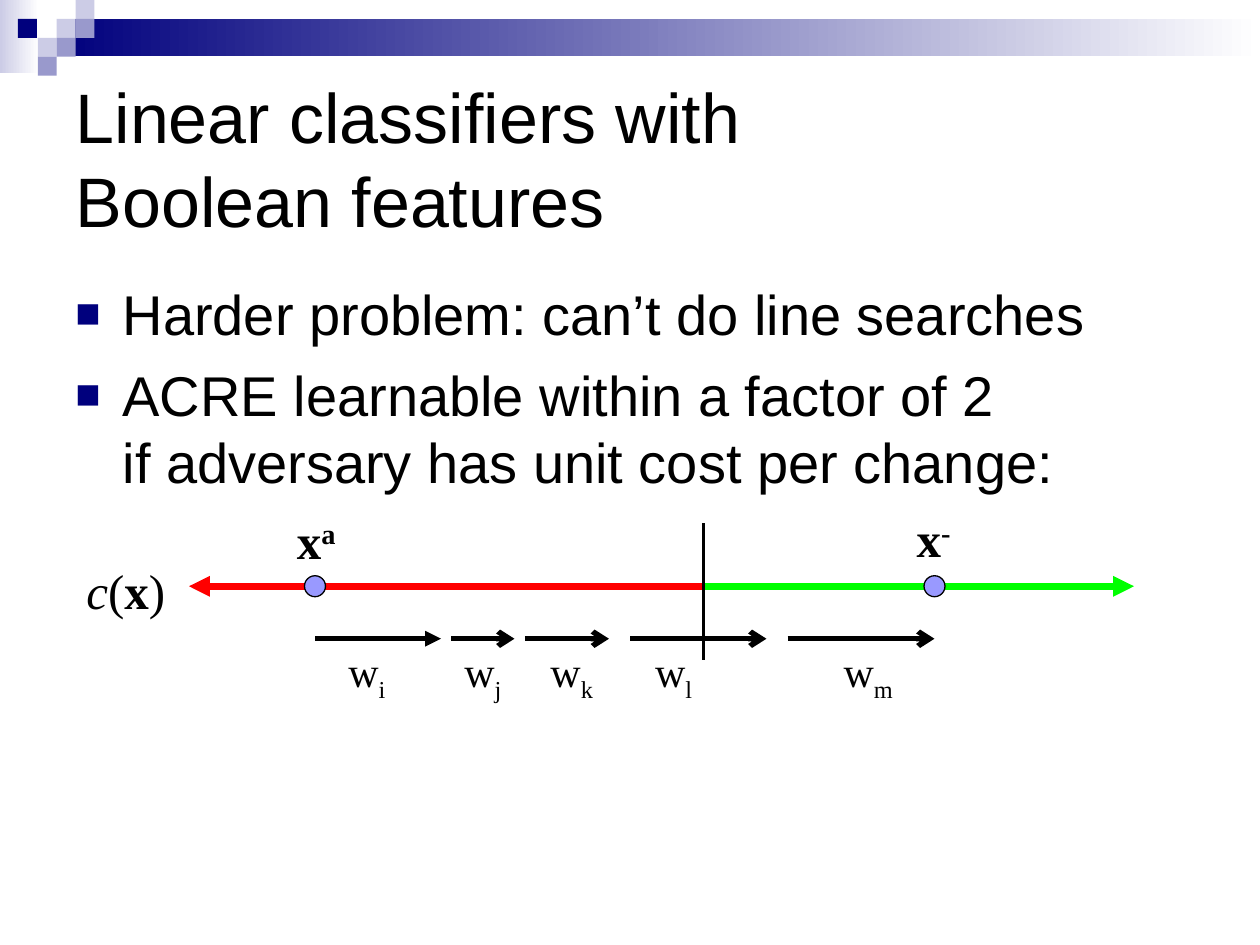
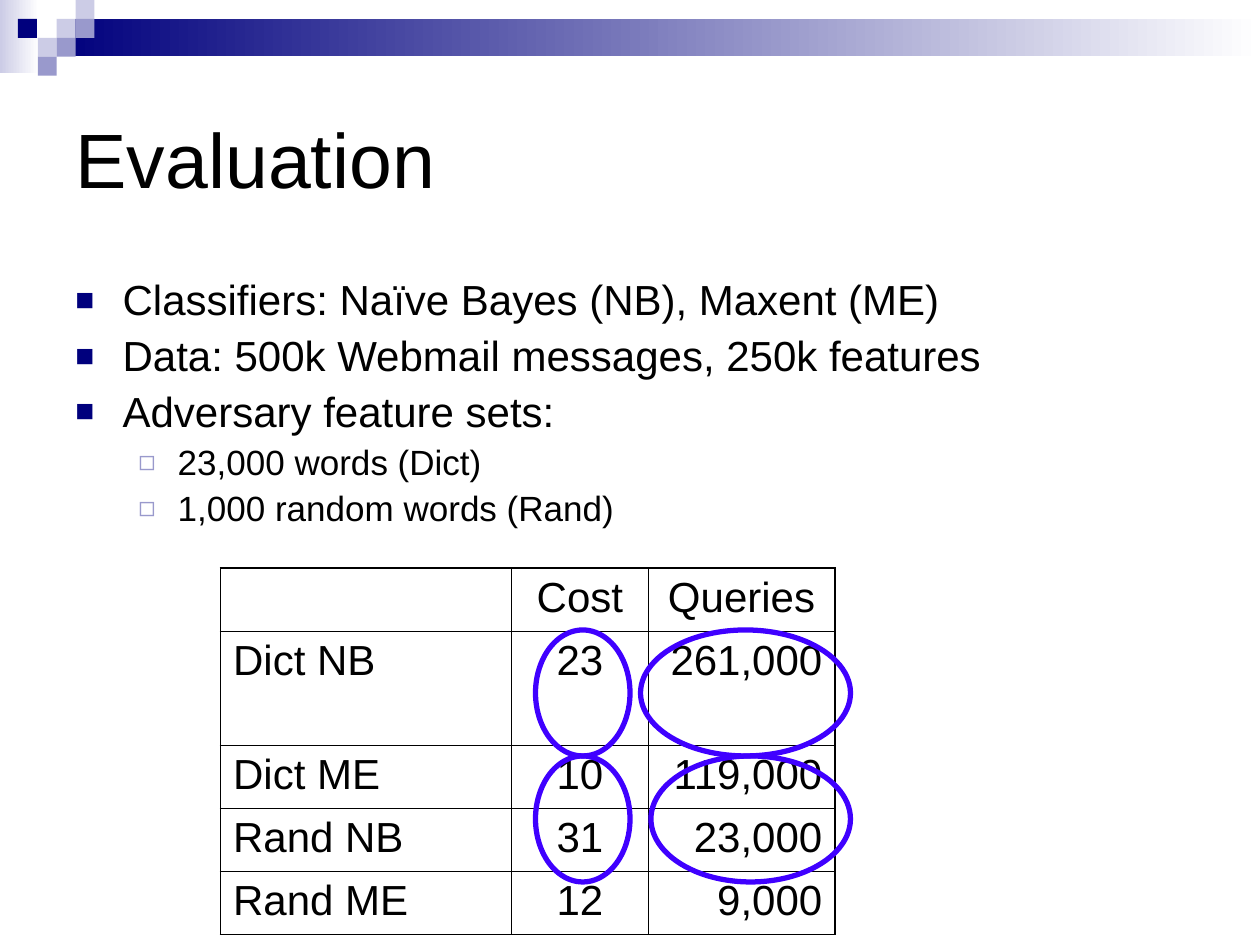
"""Builds two slides on learning linear classifiers: Boolean features and evaluation."""
from dataclasses import dataclass
from typing import NamedTuple

from lxml.etree import SubElement
from pptx import Presentation
from pptx.dml.color import RGBColor
from pptx.enum.shapes import MSO_CONNECTOR, MSO_SHAPE
from pptx.enum.text import MSO_ANCHOR, MSO_AUTO_SIZE, PP_ALIGN
from pptx.oxml.ns import qn
from pptx.presentation import Presentation as Deck
from pptx.shapes.autoshape import Shape
from pptx.slide import Slide
from pptx.table import _Cell
from pptx.text.text import _Paragraph
from pptx.util import Pt

BLACK = RGBColor(0x00, 0x00, 0x00)
WHITE = RGBColor(0xFF, 0xFF, 0xFF)
NAVY = RGBColor(0x00, 0x00, 0x7D)
LAVENDER = RGBColor(0x99, 0x99, 0xCC)
PALE = RGBColor(0xCC, 0xCC, 0xE6)
PERIWINKLE = RGBColor(0x99, 0x99, 0xFF)
RED = RGBColor(0xFF, 0x00, 0x00)
GREEN = RGBColor(0x00, 0xFF, 0x00)
VIOLET = RGBColor(0x3F, 0x00, 0xFF)

SANS = "Arial"
SERIF = "Times New Roman"
TILE = 10.8
AXIS_Y = 335
WEIGHT_Y = 365
THIN, THICK = 0.45, 1.08


class Box(NamedTuple):
    left: float
    top: float
    width: float
    height: float


class Tile(NamedTuple):
    column: float
    row: int
    color: RGBColor


class Bullet(NamedTuple):
    text: str
    size: float
    before: float
    level: int = 0


class BulletStyle(NamedTuple):
    mark: str
    color: RGBColor
    scale: int
    margin: float
    hang: float


@dataclass(frozen=True)
class Part:
    text: str
    bold: bool = False
    italic: bool = False
    baseline: int = 0


class Instance(NamedTuple):
    mark: str
    center: float
    label: Box


class Weight(NamedTuple):
    index: str
    start: float
    end: float
    label_left: float
    label_width: float
    head: str = "arrow"


TILES = [
    Tile(3, 1, PALE), Tile(4, 0, PALE), Tile(4, 1, LAVENDER), Tile(2, 2, PALE),
    Tile(0.95, 1, NAVY), Tile(3, 2, LAVENDER), Tile(2, 3, LAVENDER),
]
BULLET_STYLES = [
    BulletStyle("■", NAVY, 75, 27, 27),
    BulletStyle("◻", LAVENDER, 80, 58.5, 22.5),
]
PROBLEM = [
    Bullet("Harder problem: can’t do line searches", 32, 8),
    Bullet("ACRE learnable within a factor of 2\nif adversary has unit cost per change:", 32, 8),
]
SETUP = [
    Bullet("Classifiers: Naïve Bayes (NB), Maxent (ME)", 24, 6),
    Bullet("Data: 500k Webmail messages, 250k features", 24, 6),
    Bullet("Adversary feature sets:", 24, 6),
    Bullet("23,000 words (Dict)", 20, 5, 1),
    Bullet("1,000 random words (Rand)", 20, 5, 1),
]
INSTANCES = [
    Instance("a", 180, Box(162.5, 288, 38, 41)),
    Instance("-", 534, Box(516.7, 287.3, 36, 41)),
]
WEIGHTS = [
    Weight("i", 180, 252, 192, 37.5, "triangle"),
    Weight("j", 258, 294, 258.3, 37.5),
    Weight("k", 300, 348, 307.5, 41),
    Weight("l", 360, 438, 367.2, 37.5),
    Weight("m", 450, 534, 475, 44.5),
]
RESULTS = [
    ("", "Cost", "Queries"),
    ("Dict NB", "23", "261,000"),
    ("Dict ME", "10", "119,000"),
    ("Rand NB", "31", "23,000"),
    ("Rand ME", "12", "9,000"),
]
COLUMN_WIDTHS = (166.4, 78, 106.7)
ROW_HEIGHTS = (36, 65.2, 36.1, 36.1, 36.1)
HIGHLIGHTS = [
    Box(306, 360, 54, 72), Box(306, 432, 54, 72),
    Box(366, 360, 120, 72), Box(372, 432, 114, 72),
]


def points(box: Box) -> list[Pt]:
    """Turn a box into lengths."""
    return [Pt(length) for length in box]


def add_plain_shape(slide: Slide, kind: MSO_SHAPE, box: Box) -> Shape:
    """Add a preset shape with no shadow, fill or outline."""
    shape = slide.shapes.add_shape(kind, *points(box))
    shape.shadow.inherit = False
    shape.fill.background()
    shape.line.fill.background()
    return shape


def add_fade(slide: Slide, box: Box, color: RGBColor) -> None:
    """Add a rectangle that fades from a colour to white."""
    fill = add_plain_shape(slide, MSO_SHAPE.RECTANGLE, box).fill
    fill.gradient()
    fill.gradient_angle = 0
    for stop, shade in zip(fill.gradient_stops, (color, WHITE)):
        stop.color.rgb = shade


def add_ring(slide: Slide, box: Box, color: RGBColor, weight: float) -> Shape:
    """Add an outlined ellipse."""
    ring = add_plain_shape(slide, MSO_SHAPE.OVAL, box)
    ring.line.color.rgb = color
    ring.line.width = Pt(weight)
    return ring


def add_line(slide: Slide, start: tuple[float, float], end: tuple[float, float],
             color: RGBColor, weight: float, head: str = "") -> None:
    """Add a straight line, with an arrowhead at its end if one is named."""
    line = slide.shapes.add_connector(
        MSO_CONNECTOR.STRAIGHT, *(Pt(place) for place in start + end))
    line.line.color.rgb = color
    line.line.width = Pt(weight)
    properties = line._element.spPr
    if head:
        SubElement(properties.find(qn("a:ln")), qn("a:tailEnd"), type=head)
    SubElement(properties, qn("a:effectLst"))


def add_run(paragraph: _Paragraph, part: Part, font: str, size: float) -> None:
    """Add one black run."""
    run = paragraph.add_run()
    run.text = part.text
    run.font.name = font
    run.font.size = Pt(size)
    run.font.bold = part.bold
    run.font.italic = part.italic
    run.font.color.rgb = BLACK
    if part.baseline:
        run._r.get_or_add_rPr().set("baseline", str(part.baseline * 1000))


def add_lines(paragraph: _Paragraph, text: str, size: float) -> None:
    """Add sans text, with a line break between its lines."""
    for number, line in enumerate(text.split("\n")):
        if number:
            paragraph.add_line_break()
        add_run(paragraph, Part(line), SANS, size)


def add_label(slide: Slide, box: Box, parts: list[Part], size: float) -> None:
    """Add a one-line serif formula."""
    frame = slide.shapes.add_textbox(*points(box)).text_frame
    frame.word_wrap = False
    frame.auto_size = MSO_AUTO_SIZE.SHAPE_TO_FIT_TEXT
    for part in parts:
        add_run(frame.paragraphs[0], part, SERIF, size)


def add_bullets(slide: Slide, box: Box, bullets: list[Bullet], spacing: float) -> None:
    """Add a bulleted list."""
    frame = slide.shapes.add_textbox(*points(box)).text_frame
    frame.word_wrap = True
    for number, bullet in enumerate(bullets):
        paragraph = frame.add_paragraph() if number else frame.paragraphs[0]
        paragraph.level = bullet.level
        paragraph.space_before = Pt(bullet.before)
        paragraph.line_spacing = spacing
        style = BULLET_STYLES[bullet.level]
        properties = paragraph._p.get_or_add_pPr()
        properties.set("marL", str(Pt(style.margin)))
        properties.set("indent", str(-Pt(style.hang)))
        tint = SubElement(properties, qn("a:buClr"))
        SubElement(tint, qn("a:srgbClr"), val=str(style.color))
        SubElement(properties, qn("a:buSzPct"), val=str(style.scale * 1000))
        SubElement(properties, qn("a:buFont"), typeface=SANS)
        SubElement(properties, qn("a:buChar"), char=style.mark)
        add_lines(paragraph, bullet.text, bullet.size)


def start_slide(deck: Deck, heading: str, size: float) -> Slide:
    """Add a slide with the shared band, tiles and title."""
    slide = deck.slides.add_slide(deck.slide_layouts[5])
    add_fade(slide, Box(0, 0, 22.3, 41.8), PALE)
    add_fade(slide, Box(3 * TILE, TILE, 720 - 3 * TILE, 21.2), NAVY)
    for tile in TILES:
        box = Box(tile.column * TILE, tile.row * TILE, TILE, TILE)
        fill = add_plain_shape(slide, MSO_SHAPE.RECTANGLE, box).fill
        fill.solid()
        fill.fore_color.rgb = tile.color
    title = slide.shapes.title
    title.left, title.top, title.width, title.height = points(Box(36, 36, 648, 108))
    title.text_frame.auto_size = MSO_AUTO_SIZE.NONE
    title.text_frame.vertical_anchor = MSO_ANCHOR.MIDDLE
    paragraph = title.text_frame.paragraphs[0]
    paragraph.alignment = PP_ALIGN.LEFT
    add_lines(paragraph, heading, size)
    return slide


def set_borders(cell: _Cell, widths: dict[str, float]) -> None:
    """Draw the black borders of a cell, ahead of its fill."""
    properties = cell._tc.get_or_add_tcPr()
    for place, (side, width) in enumerate(widths.items()):
        border = SubElement(properties, qn(f"a:ln{side}"), w=str(Pt(width)))
        ink = SubElement(border, qn("a:solidFill"))
        SubElement(ink, qn("a:srgbClr"), val=str(BLACK))
        properties.insert(place, border)


def add_results(slide: Slide) -> None:
    """Add the table of costs and queries."""
    box = Box(126, 324.6, sum(COLUMN_WIDTHS), sum(ROW_HEIGHTS))
    table = slide.shapes.add_table(len(RESULTS), len(COLUMN_WIDTHS), *points(box)).table
    table.first_row = table.horz_banding = False
    for column, width in zip(table.columns, COLUMN_WIDTHS):
        column.width = Pt(width)
    last_row, last_column = len(RESULTS) - 1, len(COLUMN_WIDTHS) - 1
    for y, (row, height) in enumerate(zip(RESULTS, ROW_HEIGHTS)):
        table.rows[y].height = Pt(height)
        for x, text in enumerate(row):
            cell = table.cell(y, x)
            cell.fill.background()
            edges = {"L": x == 0, "R": x == last_column, "T": y == 0, "B": y == last_row}
            set_borders(cell, {side: THICK if outer else THIN for side, outer in edges.items()})
            paragraph = cell.text_frame.paragraphs[0]
            paragraph.space_before = Pt(6)
            numbers = PP_ALIGN.RIGHT if y and x == last_column else PP_ALIGN.CENTER
            paragraph.alignment = numbers if x else PP_ALIGN.LEFT
            if text:
                add_run(paragraph, Part(text), SANS, 24)


def build_boolean_features(deck: Deck) -> None:
    """Build the slide on Boolean features."""
    slide = start_slide(deck, "Linear classifiers with\nBoolean features", 40)
    add_bullets(slide, Box(36, 156, 648, 306), PROBLEM, 1)
    boundary = 402
    for tip, color in ((648, GREEN), (108, RED)):
        add_line(slide, (boundary, AXIS_Y), (tip, AXIS_Y), color, 4, "triangle")
    add_line(slide, (boundary, 299), (boundary, 377), BLACK, 2)
    for instance in INSTANCES:
        dot = add_ring(slide, Box(instance.center - 6, AXIS_Y - 6, 12, 12), BLACK, 0.75)
        dot.fill.solid()
        dot.fill.fore_color.rgb = PERIWINKLE
        name = [Part("x", bold=True), Part(instance.mark, bold=True, baseline=30)]
        add_label(slide, instance.label, name, 28)
    for weight in WEIGHTS:
        add_line(slide, (weight.start, WEIGHT_Y), (weight.end, WEIGHT_Y), BLACK, 3, weight.head)
        box = Box(weight.label_left, WEIGHT_Y + 0.6, weight.label_width, 40.3)
        add_label(slide, box, [Part("w"), Part(weight.index, baseline=-25)], 24)
    classifier = [Part("c", italic=True), Part("("), Part("x", bold=True), Part(")")]
    add_label(slide, Box(42.3, 316.8, 61.5, 41), classifier, 28)


def build_evaluation(deck: Deck) -> None:
    """Build the slide on the evaluation."""
    slide = start_slide(deck, "Evaluation", 44)
    add_bullets(slide, Box(36, 156, 648, 160), SETUP, 0.9)
    add_results(slide)
    for box in HIGHLIGHTS:
        add_ring(slide, box, VIOLET, 3)


def main() -> None:
    """Build and save the deck."""
    deck = Presentation()
    deck.slide_width, deck.slide_height = Pt(720), Pt(540)
    build_boolean_features(deck)
    build_evaluation(deck)
    deck.save("out.pptx")


if __name__ == "__main__":
    main()
